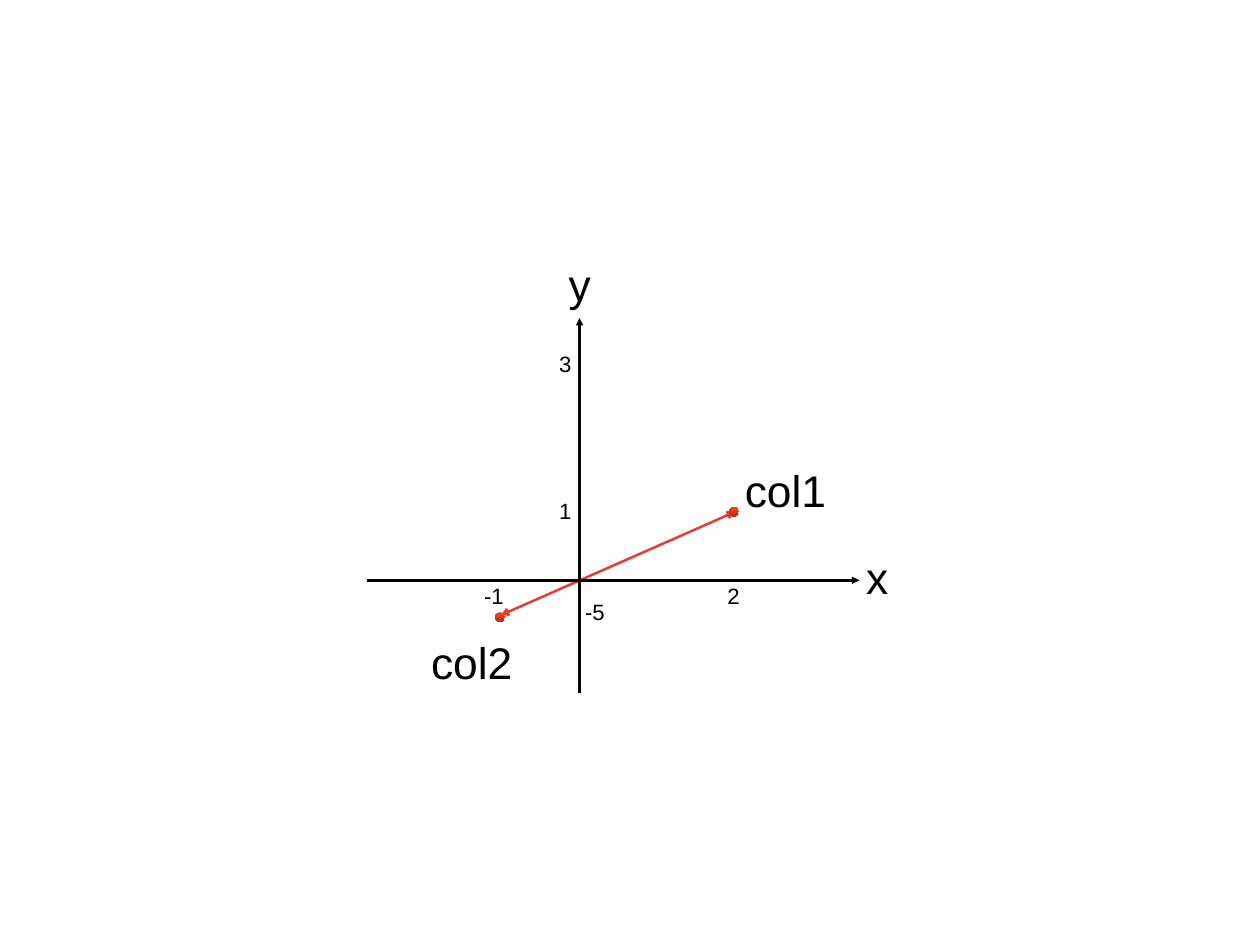
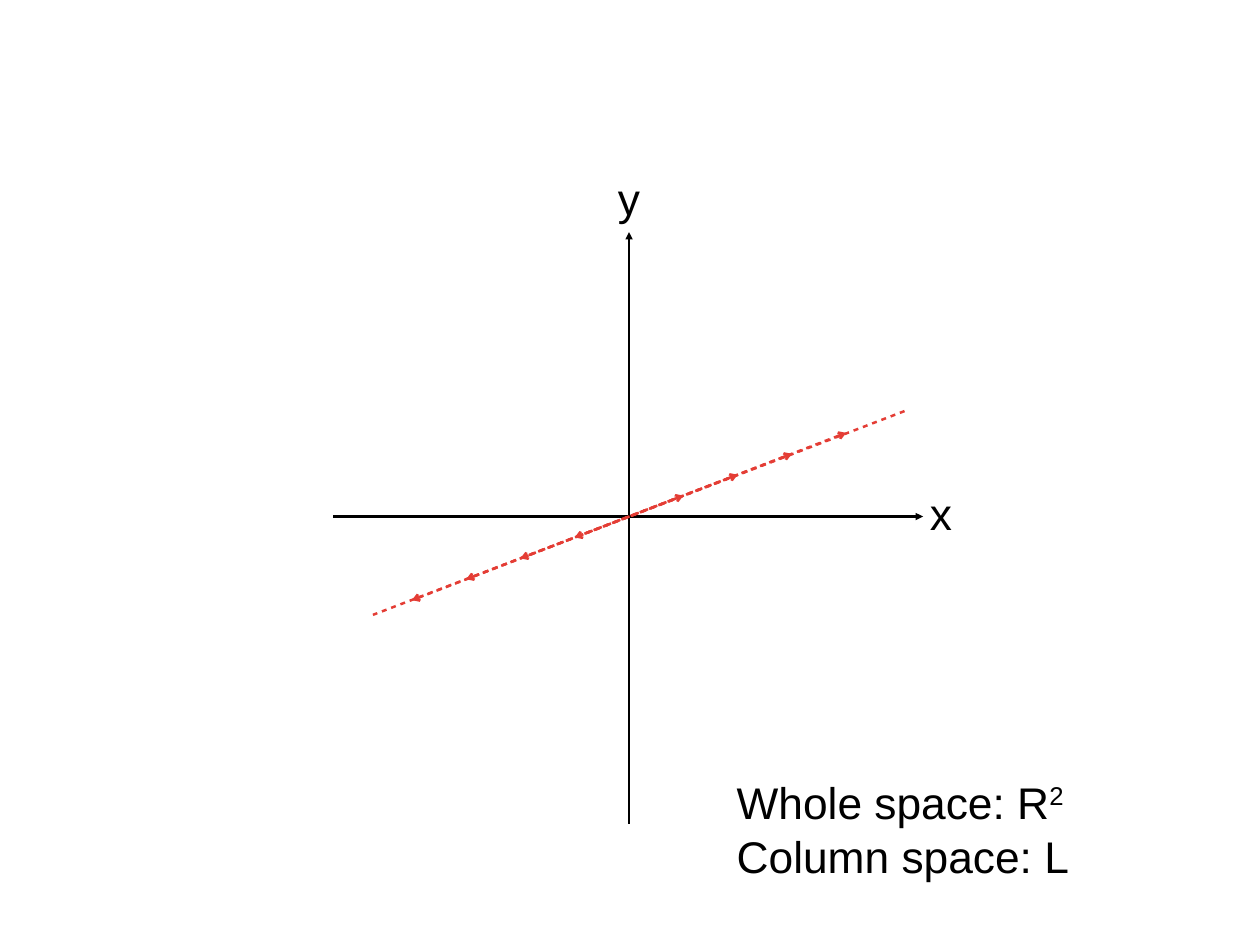
from dataclasses import dataclass

from lxml.etree import SubElement
from pptx import Presentation
from pptx.dml.color import RGBColor
from pptx.enum.shapes import MSO_CONNECTOR, MSO_SHAPE
from pptx.enum.text import MSO_ANCHOR, MSO_AUTO_SIZE, PP_ALIGN
from pptx.oxml.ns import qn
from pptx.slide import Slide
from pptx.text.text import TextFrame, _Paragraph
from pptx.util import Pt

FONT = "Arial"
BLACK = "000000"
RED = "E43D35"
DOT_TOP = "FA4813"
DOT_BOTTOM = "C82506"
LARGE, SMALL = 36, 18
DOT_SIZE = 8

Point = tuple[float, float]


@dataclass
class Axes:
    origin: Point
    left: float
    right: float
    top: float
    bottom: float


@dataclass
class Label:
    text: str
    center: Point
    size: float
    width: float
    height: float


def rgb(color: str) -> RGBColor:
    return RGBColor.from_string(color)


def large(text: str, x: float, y: float, width: float = 27.4) -> Label:
    return Label(text, (x, y), LARGE, width, 51)


def small(text: str, x: float, y: float) -> Label:
    return Label(text, (x, y), SMALL, 25, 30)


def add_line(s: Slide, start: Point, end: Point, color: str, head: str = "",
             tail: str = "", dashed: bool = False) -> None:
    line = s.shapes.add_connector(
        MSO_CONNECTOR.STRAIGHT, *(Pt(v) for v in start + end))
    line.line.color.rgb = rgb(color)
    line.line.width = Pt(2)
    ln = line.line._get_or_add_ln()
    if dashed:
        pattern = SubElement(ln, qn("a:custDash"))
        SubElement(pattern, qn("a:ds"), d="200000", sp="200000")
    for tag, kind in (("a:headEnd", head), ("a:tailEnd", tail)):
        if kind:
            SubElement(ln, qn(tag), type=kind)
    SubElement(line._element.spPr, qn("a:effectLst"))


def add_text_frame(s: Slide, left: float, top: float, width: float,
                   height: float) -> TextFrame:
    tf = s.shapes.add_textbox(Pt(left), Pt(top), Pt(width), Pt(height)).text_frame
    tf.word_wrap = False
    tf.auto_size = MSO_AUTO_SIZE.SHAPE_TO_FIT_TEXT
    tf.vertical_anchor = MSO_ANCHOR.MIDDLE
    tf.margin_left = tf.margin_right = tf.margin_top = tf.margin_bottom = Pt(4)
    return tf


def style(p: _Paragraph, size: float, align: PP_ALIGN) -> None:
    p.alignment = align
    p.font.name = FONT
    p.font.size = Pt(size)
    p.font.color.rgb = rgb(BLACK)


def add_label(s: Slide, label: Label) -> None:
    x, y = label.center
    tf = add_text_frame(s, x - label.width / 2, y - label.height / 2,
                        label.width, label.height)
    p = tf.paragraphs[0]
    p.text = label.text
    style(p, label.size, PP_ALIGN.CENTER)


def add_axes(s: Slide, axes: Axes) -> None:
    x, y = axes.origin
    add_line(s, (x, axes.bottom), (x, axes.top), BLACK, tail="triangle")
    add_line(s, (axes.left, y), (axes.right, y), BLACK, tail="triangle")
    add_label(s, large("x", axes.right + 14.4, y - 3))
    add_label(s, large("y", x, axes.top - 27.7))


def add_dot(s: Slide, center: Point) -> None:
    x, y = center
    dot = s.shapes.add_shape(MSO_SHAPE.OVAL, Pt(x - DOT_SIZE / 2),
                             Pt(y - DOT_SIZE / 2), Pt(DOT_SIZE), Pt(DOT_SIZE))
    dot.shadow.inherit = False
    dot.line.fill.background()
    dot.fill.gradient()
    dot.fill.gradient_angle = 270
    for stop, color in zip(dot.fill.gradient_stops, (DOT_TOP, DOT_BOTTOM)):
        stop.color.rgb = rgb(color)


def build_columns(s: Slide) -> None:
    add_line(s, (407.5, 499.7), (596.9, 416.2), RED, "arrow", "arrow")
    add_axes(s, Axes((471, 471.6), 298, 698.4, 258.5, 563))
    for label in (
        large("col1", 638.3, 397.8, 77),
        large("col2", 383.4, 538.2, 77),
        small("3", 459.4, 295.2),
        small("1", 459.4, 415.4),
        small("-1", 401.4, 483.8),
        small("2", 596.2, 483.8),
        small("-5", 483.5, 496.8),
    ):
        add_label(s, label)
    for center in ((596.5, 415.8), (406.4, 501.5)):
        add_dot(s, center)


def build_column_space(s: Slide) -> None:
    axes = Axes((511.2, 419.8), 270.7, 750.2, 188.6, 669.6)
    add_axes(s, axes)
    x, y = axes.origin
    step_x, step_y = 44.1, 17
    add_line(s, (735.1, 334.1), (303.1, 499.7), RED, dashed=True)
    for k in range(1, 5):
        dx, dy = k * step_x, k * step_y
        add_line(s, (x + dx, y - dy), (x - dx, y + dy), RED,
                 "arrow", "arrow", dashed=True)

    tf = add_text_frame(s, 594.7, 626.4, 293, 94.3)
    p = tf.paragraphs[0]
    p.add_run().text = "Whole space: R"
    r = p.add_run()
    r.text = "2"
    r.font._element.set("baseline", "32000")
    tf.add_paragraph().text = "Column space: L"
    for p in tf.paragraphs:
        style(p, LARGE, PP_ALIGN.LEFT)


def main() -> None:
    prs = Presentation()
    prs.slide_width, prs.slide_height = Pt(1024), Pt(768)
    for build in (build_columns, build_column_space):
        build(prs.slides.add_slide(prs.slide_layouts[6]))
    prs.save("out.pptx")


if __name__ == "__main__":
    main()
